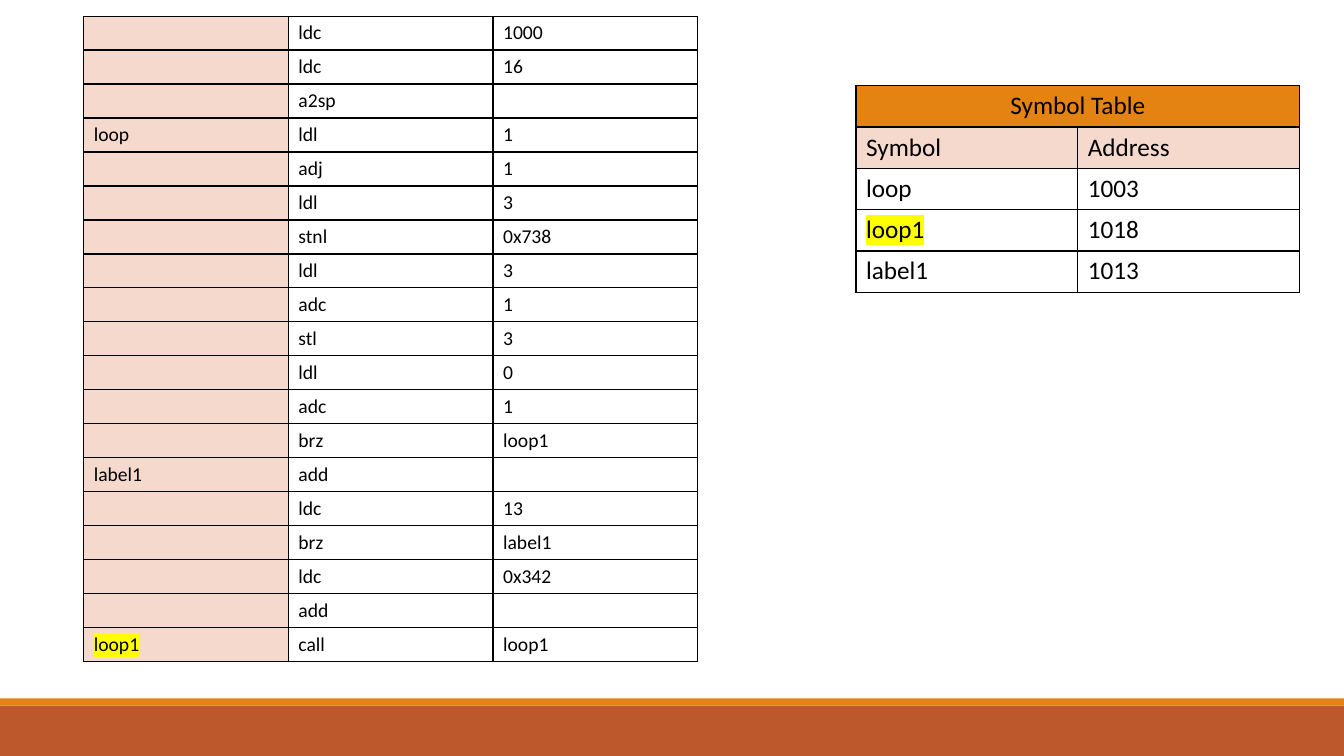
"""Build a slide with an assembly listing and its symbol table."""
from lxml.etree import SubElement
from pptx import Presentation
from pptx.dml.color import RGBColor
from pptx.enum.shapes import MSO_SHAPE
from pptx.enum.text import PP_ALIGN
from pptx.oxml.ns import qn
from pptx.util import Inches, Pt

BLACK = RGBColor(0x00, 0x00, 0x00)
WHITE = RGBColor(0xFF, 0xFF, 0xFF)
ORANGE = RGBColor(0xE4, 0x83, 0x12)
RUST = RGBColor(0xBD, 0x58, 0x2C)
PEACH = RGBColor(0xF5, 0xD9, 0xCC)
YELLOW = RGBColor(0xFF, 0xFF, 0x00)

LISTING = [
    ("", "ldc", "1000"),
    ("", "ldc", "16"),
    ("", "a2sp", ""),
    ("loop", "ldl", "1"),
    ("", "adj", "1"),
    ("", "ldl", "3"),
    ("", "stnl", "0x738"),
    ("", "ldl", "3"),
    ("", "adc", "1"),
    ("", "stl", "3"),
    ("", "ldl", "0"),
    ("", "adc", "1"),
    ("", "brz", "loop1"),
    ("label1", "add", ""),
    ("", "ldc", "13"),
    ("", "brz", "label1"),
    ("", "ldc", "0x342"),
    ("", "add", ""),
    ("loop1", "call", "loop1"),
]
SYMBOLS = [
    ("Symbol Table", ""),
    ("Symbol", "Address"),
    ("loop", "1003"),
    ("loop1", "1018"),
    ("label1", "1013"),
]


def style_cell(cell, text, size, color):
    """Write the text of a cell and give it a fill and thin black borders."""
    properties = cell._tc.get_or_add_tcPr()
    for side in ("lnL", "lnR", "lnT", "lnB"):
        line = SubElement(properties, qn(f"a:{side}"), w=str(Pt(1)))
        line_fill = SubElement(line, qn("a:solidFill"))
        SubElement(line_fill, qn("a:srgbClr"), val=str(BLACK))
    cell.fill.solid()
    cell.fill.fore_color.rgb = color
    paragraph = cell.text_frame.paragraphs[0]
    paragraph.font.size = Pt(size)
    paragraph.font.name = "Calibri"
    paragraph.font.color.rgb = BLACK
    if text:
        paragraph.add_run().text = text
    else:
        SubElement(paragraph._p, qn("a:endParaRPr"), sz=str(size * 100))


def add_grid(slide, rows, left, top, column_width, row_height, size, color_of):
    """Add a table whose cell colours follow from row and column."""
    columns = len(rows[0])
    table = slide.shapes.add_table(
        len(rows), columns, Inches(left), Inches(top),
        Inches(column_width * columns), Inches(row_height * len(rows))).table
    table.first_row = False
    table.horz_banding = False
    for row, texts in enumerate(rows):
        for column, text in enumerate(texts):
            style_cell(table.cell(row, column), text, size, color_of(row, column))
    return table


presentation = Presentation()
presentation.slide_width = Inches(13.33)
presentation.slide_height = Inches(7.5)
slide = presentation.slides.add_slide(presentation.slide_layouts[6])

for top, height, color in ((7, 0.5, RUST), (6.93, 0.07, ORANGE)):
    band = slide.shapes.add_shape(
        MSO_SHAPE.RECTANGLE, 0, Inches(top), presentation.slide_width, Inches(height))
    band.shadow.inherit = False
    band.fill.solid()
    band.fill.fore_color.rgb = color
    band.line.fill.background()

listing = add_grid(slide, LISTING, 0.83, 0.16, 2.03, 0.33, 14,
                   lambda row, column: PEACH if column == 0 else WHITE)
symbols = add_grid(slide, SYMBOLS, 8.49, 0.85, 2.2, 0.41, 18,
                   lambda row, column: (ORANGE, PEACH, WHITE, WHITE, WHITE)[row])
title = symbols.cell(0, 0)
title.merge(symbols.cell(0, 1))
title.text_frame.paragraphs[0].alignment = PP_ALIGN.CENTER

for cell in (listing.cell(18, 0), symbols.cell(3, 0)):
    run = cell.text_frame.paragraphs[0].runs[0]
    highlight = SubElement(run._r.get_or_add_rPr(), qn("a:highlight"))
    SubElement(highlight, qn("a:srgbClr"), val=str(YELLOW))

presentation.save("out.pptx")
